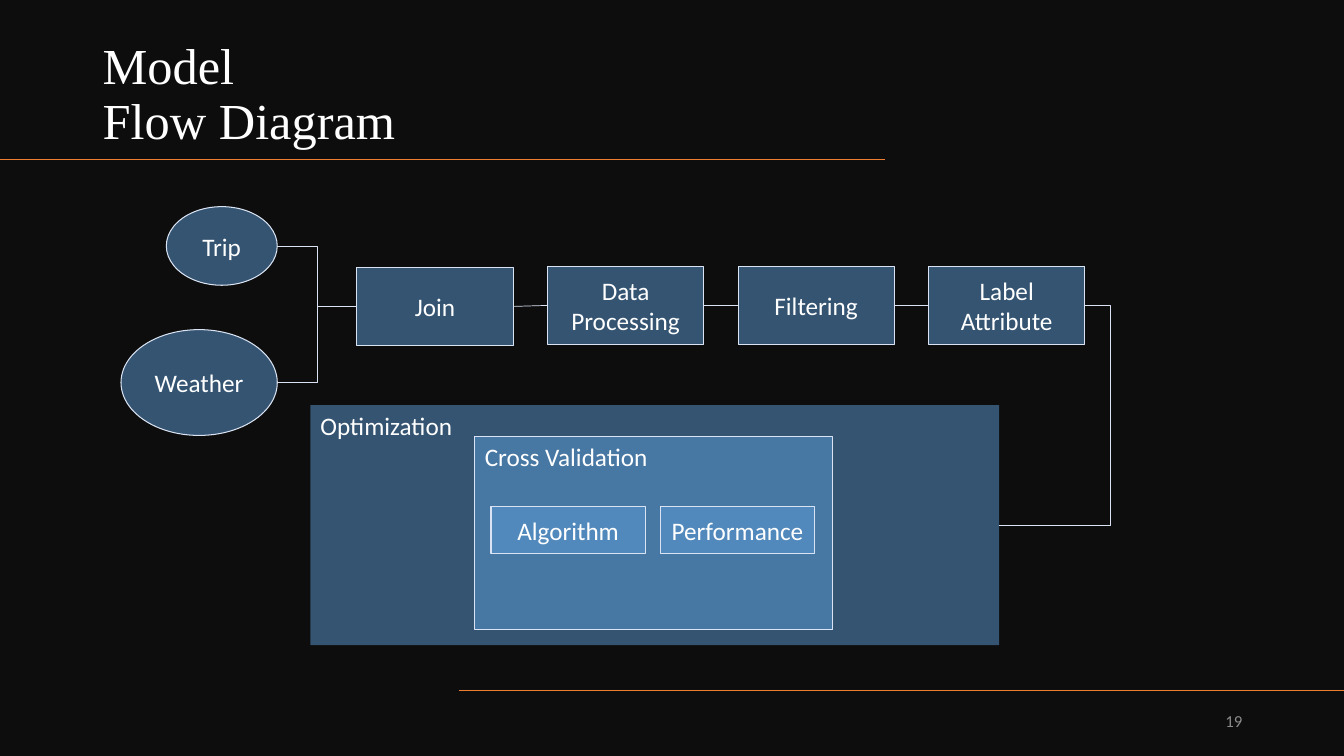
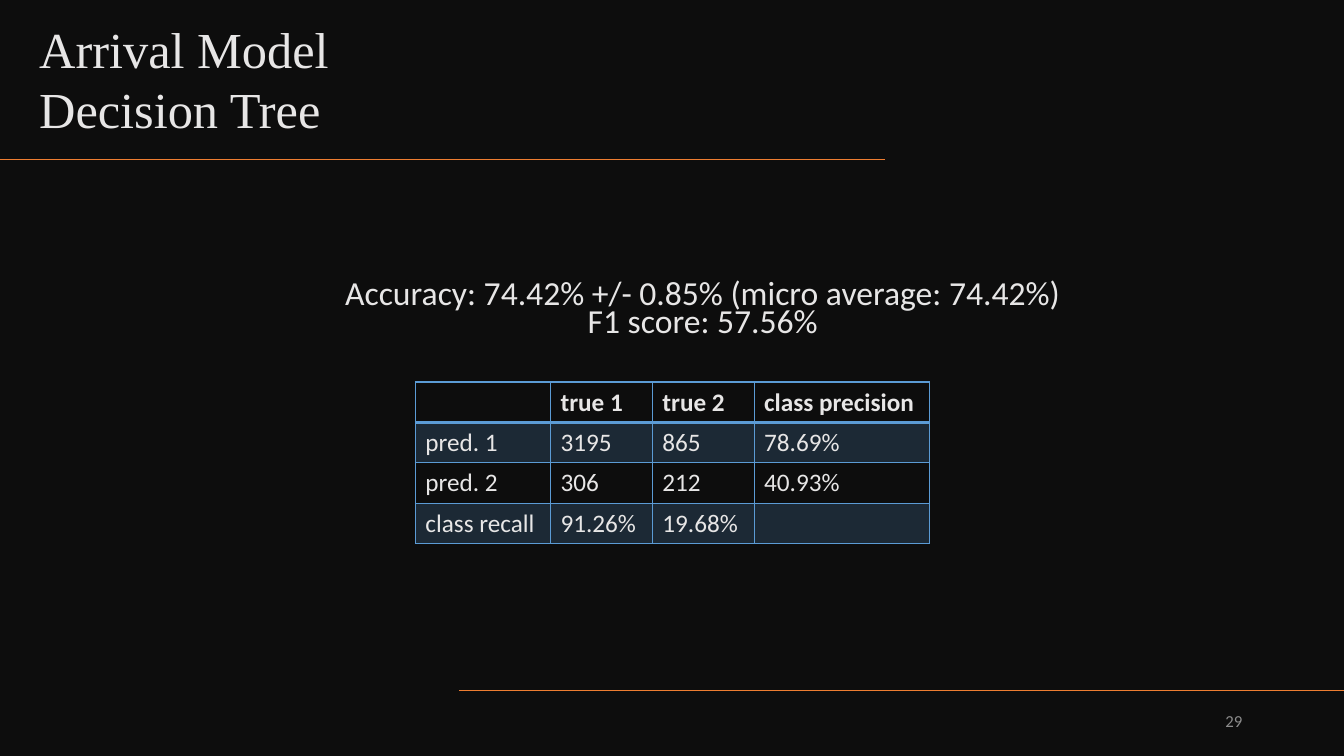
from dataclasses import dataclass

from lxml import etree
from pptx import Presentation
from pptx.dml.color import RGBColor
from pptx.enum import shapes, text
from pptx.oxml.ns import qn
from pptx.util import Inches, Pt


@dataclass(frozen=True)
class Theme:
    back: str = "0D0D0D"
    accent: str = "ED7D31"
    blue: str = "5B9BD5"
    pale: str = "DAE3F3"
    white: str = "FFFFFF"
    soft: str = "E7E6E6"
    gray: str = "8C8C8C"
    serif: str = "Times New Roman"
    sans: str = "Calibri"
    title: int = 36
    lead: int = 24
    body: int = 18
    small: int = 12


@dataclass(frozen=True)
class Box:
    label: str
    x: float
    y: float
    w: float
    h: float
    kind: int = shapes.MSO_SHAPE.RECTANGLE
    head: bool = False
    edge: bool = True

    @property
    def left(self) -> tuple[float, float]:
        return self.x, self.y + self.h / 2

    @property
    def right(self) -> tuple[float, float]:
        return self.x + self.w, self.y + self.h / 2


T = Theme()
Align = text.PP_ALIGN
Anchor = text.MSO_ANCHOR
Link = shapes.MSO_CONNECTOR


def color(code: str) -> RGBColor:
    return RGBColor.from_string(code)


def write(frame, words: str | list[str], *, size: float = T.body, hue: str = T.white,
          font: str = T.sans, bold: bool = False, align=Align.LEFT,
          anchor=Anchor.TOP, gap: float | None = None) -> None:
    """Fill a text frame; each list item is a paragraph, each newline a break."""
    frame.word_wrap = True
    frame.vertical_anchor = anchor
    for i, line in enumerate([words] if isinstance(words, str) else words):
        para = frame.add_paragraph() if i else frame.paragraphs[0]
        para.text = line
        para.alignment = align
        if gap:
            para.line_spacing = gap
        for run in para.runs:
            run.font.size, run.font.name, run.font.bold = Pt(size), font, bold
            run.font.color.rgb = color(hue)


def label(slide, words: str | list[str], x: float, y: float, w: float, h: float,
          **style) -> None:
    area = slide.shapes.add_textbox(Inches(x), Inches(y), Inches(w), Inches(h))
    write(area.text_frame, words, **style)


def tint(fill, hue: str, share: int) -> None:
    """Apply a solid fill with the given opacity in percent."""
    fill.solid()
    fill.fore_color.rgb = color(hue)
    node = fill._xPr.find(f"{qn('a:solidFill')}/{qn('a:srgbClr')}")
    etree.SubElement(node, qn("a:alpha"), val=str(share * 1000))


def line(slide, start: tuple[float, float], end: tuple[float, float], *,
         hue: str = T.pale, width: float = 0.5, kind=Link.STRAIGHT,
         bend: float | None = None) -> None:
    """Draw a connector; bend places the elbow as a share of its width."""
    link = slide.shapes.add_connector(kind, *map(Inches, start + end))
    link.line.color.rgb = color(hue)
    link.line.width = Pt(width)
    props = link._element.spPr
    etree.SubElement(props, qn("a:effectLst"))
    if bend is not None:
        geom = props.find(qn("a:prstGeom"))
        guides = geom.find(qn("a:avLst"))
        if guides is None:
            guides = etree.SubElement(geom, qn("a:avLst"))
        etree.SubElement(guides, qn("a:gd"), name="adj1",
                         fmla=f"val {round(bend * 100000)}")


def draw(slide, box: Box) -> None:
    shape = slide.shapes.add_shape(
        box.kind, *map(Inches, (box.x, box.y, box.w, box.h)))
    shape.shadow.inherit = False
    tint(shape.fill, T.blue, 50)
    if box.edge:
        shape.line.color.rgb = color(T.pale)
        shape.line.width = Pt(0.75)
    else:
        shape.line.fill.background()
    write(shape.text_frame, box.label,
          align=Align.LEFT if box.head else Align.CENTER,
          anchor=Anchor.TOP if box.head else Anchor.MIDDLE)


def start(deck, page: int):
    """Add a slide with the shared background, rules and page number."""
    slide = deck.slides.add_slide(deck.slide_layouts[6])
    slide.background.fill.solid()
    slide.background.fill.fore_color.rgb = color(T.back)
    for x, y in ((0, 1.58), (4.55, 6.85)):
        line(slide, (x + 8.78, y), (x, y), hue=T.accent, width=1)
    label(slide, str(page), 9.42, 6.95, 3, 0.4, size=T.small, hue=T.gray,
          align=Align.RIGHT, anchor=Anchor.MIDDLE)
    return slide


def flow(deck) -> None:
    slide = start(deck, 19)
    label(slide, "Model\nFlow Diagram", 0.92, 0.42, 7.86, 1.12, size=T.title,
          font=T.serif, anchor=Anchor.BOTTOM, gap=0.9)

    oval = shapes.MSO_SHAPE.OVAL
    inputs = [Box("Trip", 1.65, 2.05, 1.1, 0.78, oval),
              Box("Weather", 1.2, 3.27, 1.55, 1.05, oval)]
    wide, gap = 1.55, 0.34
    names = ["Join", "Data Processing", "Filtering", "Label Attribute"]
    steps = [Box(name, 3.54 + i * (wide + gap), 2.64 if i else 2.65, wide, 0.78)
             for i, name in enumerate(names)]
    outer = Box("Optimization", 3.08, 4.02, 6.83, 2.38, head=True, edge=False)
    inner = Box("Cross Validation", 4.71, 4.33, 3.55, 1.92, head=True)
    parts = [Box(name, 4.87 + i * 1.68, 5.03, 1.53, 0.46)
             for i, name in enumerate(["Algorithm", "Performance"])]
    for box in [*inputs, *steps, outer, inner, *parts]:
        draw(slide, box)

    for box in inputs:
        line(slide, box.right, steps[0].left, kind=Link.ELBOW)
    for prev, then in zip(steps, steps[1:]):
        line(slide, prev.right, then.left)
    line(slide, steps[-1].right, outer.right, kind=Link.ELBOW, bend=-0.3)


def border(cell, side: str, width: float) -> None:
    edge = etree.SubElement(cell._tc.get_or_add_tcPr(), qn(f"a:ln{side}"),
                            w=str(Pt(width)))
    fill = etree.SubElement(edge, qn("a:solidFill"))
    etree.SubElement(fill, qn("a:srgbClr"), val=T.blue)


def grid(slide, rows: list[list[str]], cols: list[float], x: float, y: float,
         high: float) -> None:
    """Draw a ruled table with a bold header and tinted odd rows."""
    table = slide.shapes.add_table(
        len(rows), len(cols), Inches(x), Inches(y), Inches(sum(cols)),
        Inches(high * len(rows))).table
    table.first_row = table.horz_banding = False
    for col, width in zip(table.columns, cols):
        col.width = Inches(width)
    for r, row in enumerate(rows):
        for c, words in enumerate(row):
            cell = table.cell(r, c)
            for side in "LRTB":
                thick = (r, side) in ((0, "B"), (1, "T"))
                border(cell, side, 2 if thick else 1)
            if r % 2:
                tint(cell.fill, T.blue, 20)
            else:
                cell.fill.background()
            cell.vertical_anchor = Anchor.MIDDLE
            write(cell.text_frame, words, hue=T.soft, bold=r == 0,
                  anchor=None)


def score(deck) -> None:
    slide = start(deck, 29)
    label(slide, ["Arrival Model", "Decision Tree"], 0.29, 0.13, 6.68, 1.31,
          size=T.title, font=T.serif, hue=T.soft)
    label(slide, "Accuracy: 74.42% +/- 0.85% (micro average: 74.42%)\n"
          "F1 score: 57.56%", 2.58, 2.76, 8.78, 0.71, size=T.lead, hue=T.soft,
          align=Align.CENTER, gap=0.7)
    rows = [["", "true 1", "true 2", "class precision"],
            ["pred. 1", "3195", "865", "78.69%"],
            ["pred. 2", "306", "212", "40.93%"],
            ["class recall", "91.26%", "19.68%", ""]]
    grid(slide, rows, [1.34, 1.01, 1.01, 1.74], 4.12, 3.79, 0.4)


def main() -> None:
    deck = Presentation()
    deck.slide_width, deck.slide_height = Inches(13.33), Inches(7.5)
    flow(deck)
    score(deck)
    deck.save("out.pptx")


if __name__ == "__main__":
    main()
